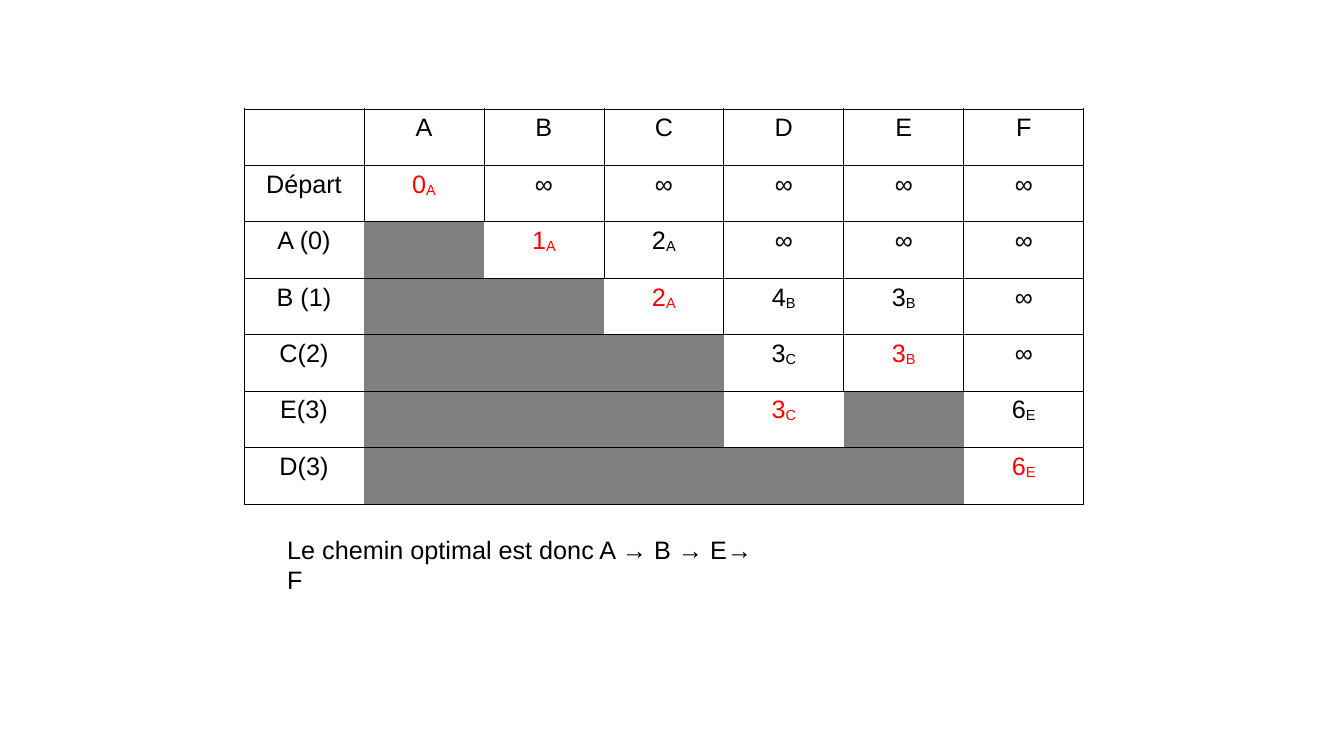
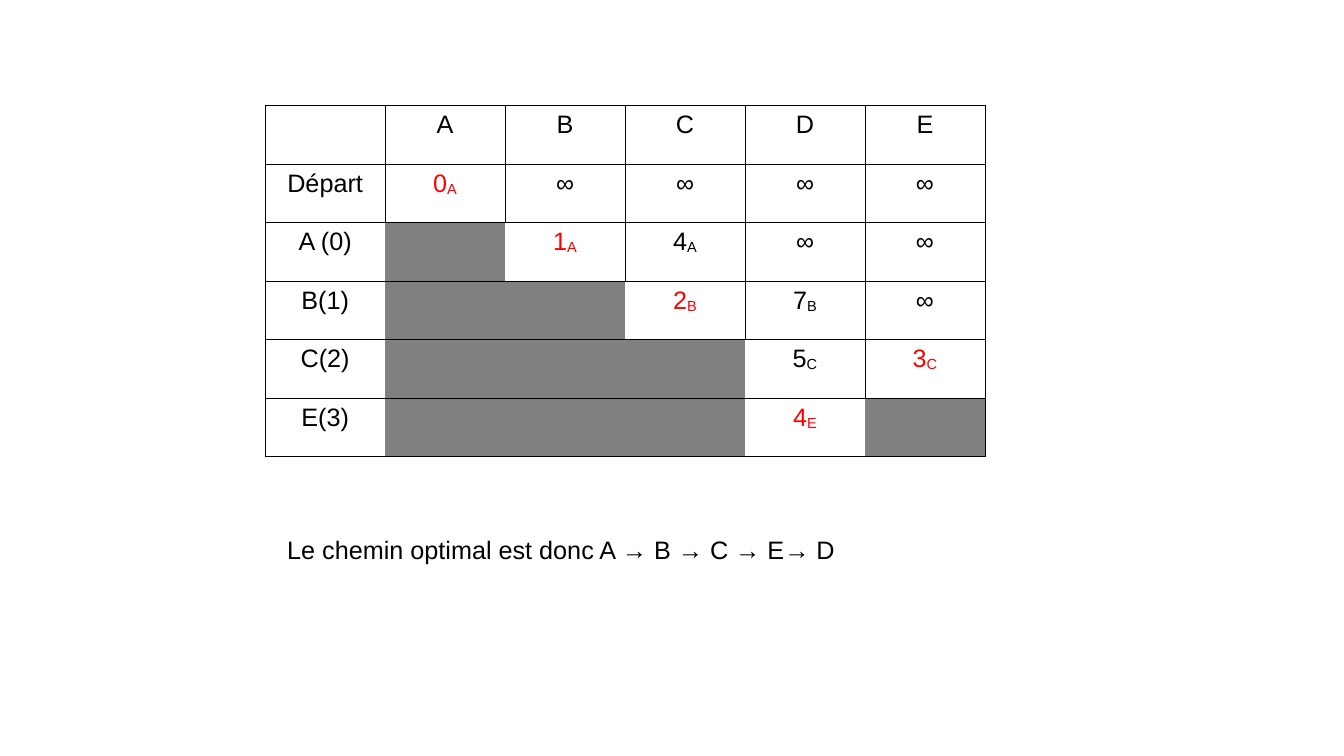
from lxml import etree
from pptx import Presentation
from pptx.dml.color import RGBColor
from pptx.enum.text import MSO_AUTO_SIZE, PP_ALIGN
from pptx.oxml.ns import qn
from pptx.util import Inches, Pt

CENTER = PP_ALIGN.CENTER
FIT_TEXT = MSO_AUTO_SIZE.SHAPE_TO_FIT_TEXT

BLACK = RGBColor(0x00, 0x00, 0x00)
RED = RGBColor(0xFF, 0x00, 0x00)
GREY = RGBColor(0x80, 0x80, 0x80)

FONT = "Arial"
SIZE = Pt(18)
BORDER = Pt(0.57)
COL_WIDTH = 1.19
BLANK_LAYOUT = 6

# "value_predecessor"; a leading "*" marks the chosen distance, None a closed cell.
SIX_NODES = [
    ["", "A", "B", "C", "D", "E", "F"],
    ["Départ", "*0_A", "∞", "∞", "∞", "∞", "∞"],
    ["A (0)", None, "*1_A", "2_A", "∞", "∞", "∞"],
    ["B (1)", None, None, "*2_A", "4_B", "3_B", "∞"],
    ["C(2)", None, None, None, "3_C", "*3_B", "∞"],
    ["E(3)", None, None, None, "*3_C", None, "6_E"],
    ["D(3)", None, None, None, None, None, "*6_E"],
]
FIVE_NODES = [
    ["", "A", "B", "C", "D", "E"],
    ["Départ", "*0_A", "∞", "∞", "∞", "∞"],
    ["A (0)", None, "*1_A", "4_A", "∞", "∞"],
    ["B(1)", None, None, "*2_B", "7_B", "∞"],
    ["C(2)", None, None, None, "5_C", "*3_C"],
    ["E(3)", None, None, None, "*4_E", None],
]


def add_run(p, text, color=BLACK):
    r = p.add_run()
    r.text = text
    r.font.name = FONT
    r.font.size = SIZE
    r.font.color.rgb = color
    return r


def set_border(cell, side, visible):
    ln = etree.SubElement(cell._tc.get_or_add_tcPr(), qn(f"a:ln{side}"), w=str(BORDER))
    if visible:
        fill = etree.SubElement(ln, qn("a:solidFill"))
        etree.SubElement(fill, qn("a:srgbClr"), val=str(BLACK))
    else:
        etree.SubElement(ln, qn("a:noFill"))


def has_side_line(row, edge):
    """Vertical lines frame the table and part two open cells only."""
    return edge in (0, len(row)) or None not in row[edge - 1:edge + 1]


def fill_cell(cell, row, col):
    cell.margin_left = cell.margin_right = Inches(0.04)
    cell.margin_top = cell.margin_bottom = Inches(0.05)
    set_border(cell, "L", has_side_line(row, col))
    set_border(cell, "R", has_side_line(row, col + 1))
    set_border(cell, "T", True)
    set_border(cell, "B", True)

    content = row[col]
    if content is None:
        cell.fill.solid()
        cell.fill.fore_color.rgb = GREY
        return
    cell.fill.background()
    if not content:
        return
    color = RED if content.startswith("*") else BLACK
    value, _, predecessor = content.lstrip("*").partition("_")
    p = cell.text_frame.paragraphs[0]
    p.alignment = CENTER
    add_run(p, value, color)
    if predecessor:
        r = add_run(p, predecessor, color)
        r.font._element.set("baseline", "-8000")


def add_distance_table(slide, rows, left, top, row_height):
    n_rows, n_cols = len(rows), len(rows[0])
    table = slide.shapes.add_table(
        n_rows, n_cols, Inches(left), Inches(top),
        Inches(COL_WIDTH * n_cols), Inches(row_height * n_rows)).table
    table.first_row = False
    table.horz_banding = False
    for i, row in enumerate(rows):
        for j in range(n_cols):
            fill_cell(table.cell(i, j), row, j)


def add_conclusion(slide, text, width):
    box = slide.shapes.add_textbox(Inches(2.75), Inches(5.25), Inches(width), Inches(0.38))
    tf = box.text_frame
    tf.word_wrap = False
    tf.auto_size = FIT_TEXT
    add_run(tf.paragraphs[0], text)


def add_path_slide(prs, rows, left, top, row_height, conclusion, width):
    slide = prs.slides.add_slide(prs.slide_layouts[BLANK_LAYOUT])
    add_distance_table(slide, rows, left, top, row_height)
    add_conclusion(slide, conclusion, width)


def main():
    prs = Presentation()
    prs.slide_width = Inches(13.33)
    prs.slide_height = Inches(7.5)
    add_path_slide(prs, SIX_NODES, 2.42, 1.08, 0.56,
                   "Le chemin optimal est donc A → B → E→ F", 5.03)
    add_path_slide(prs, FIVE_NODES, 2.63, 1.05, 0.58,
                   "Le chemin optimal est donc A → B → C → E→ D", 5.63)
    prs.save("out.pptx")


if __name__ == "__main__":
    main()
